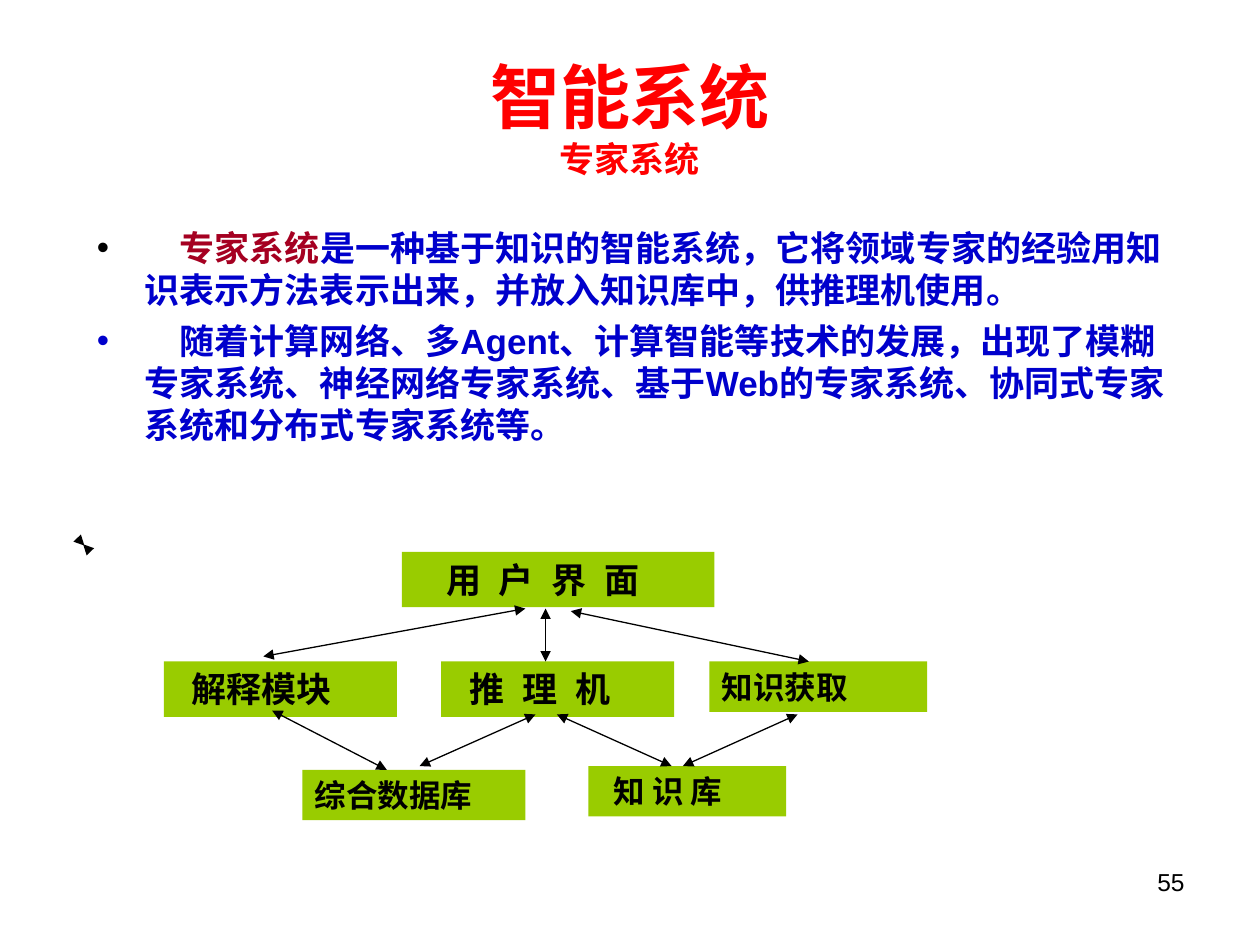
from pptx import Presentation, util as u
from pptx.dml.color import RGBColor
from pptx.enum import shapes, text
from lxml import etree

W, H = 10, 7.5
RED, WINE, BLUE, BLACK, GREEN = "FF0000", "A50021", "0000CC", "000000", "99CC00"
NS = "http://schemas.openxmlformats.org/drawingml/2006/main"

TITLE = [("智能系统", 40), ("专家系统", 20)]
BODY = [
    (BLACK, [("\u3000专家系统", WINE),
             ("是一种基于知识的智能系统，它将领域专家的经验用知识表示方法表示出来，并放入知识库中，供推理机使用。", BLUE)]),
    (BLUE, [("\u3000随着计算网络、多Agent、计算智能等技术的发展，出现了模糊专家系统、神经网络专家系统、基于Web的专家系统、协同式专家系统和分布式专家系统等。", BLUE)]),
]
TOP, MID, LOW = 4.38, 5.25, 6.08
BIG, SMALL = (20, 0.44), (18, 0.4)
BOXES = [
    ("用 户 界 面", 3.19, TOP, 2.48, BIG, 0.35, 280),
    ("解释模块", 1.3, MID, 1.85, BIG, 0.22, 0),
    ("推 理 机", 3.5, MID, 1.85, BIG, 0.23, 280),
    ("知识获取", 5.63, MID, 1.73, SMALL, 0.1, 0),
    ("知 识 库", 4.67, LOW, 1.57, SMALL, 0.2, 0),
    ("综合数据库", 2.4, LOW + 0.03, 1.77, SMALL, 0.1, 0),
]
LINKS = [
    (0.66, 4.32, 0.67, 4.33),
    (4.17, 4.83, 2.09, 5.21),
    (4.33, 4.83, 4.33, MID),
    (4.53, 4.85, 6.42, MID),
    (2.16, 5.64, 3.07, 6.11),
    (4.25, 5.67, 3.33, LOW),
    (4.42, 5.67, 5.33, LOW),
    (6.33, 5.67, 5.42, LOW),
]


def rgb(code):
    return RGBColor.from_string(code)


def style(font, size, color, bold=True, name="Arial"):
    font.size, font.bold, font.name = u.Pt(size), bold, name
    font.color.rgb = rgb(color)


def sub(node, tag, **attrs):
    return etree.SubElement(node, f"{{{NS}}}{tag}", **attrs)


def frame(slide, *area):
    tf = slide.shapes.add_textbox(*map(u.Inches, area)).text_frame
    tf.word_wrap = True
    return tf


def title(slide):
    tf = frame(slide, W * 0.05, H * 0.04, W * 0.9, 1.25)
    tf.vertical_anchor = text.MSO_ANCHOR.MIDDLE
    para = tf.paragraphs[0]
    para.alignment = text.PP_ALIGN.CENTER
    for i, (words, size) in enumerate(TITLE):
        if i:
            para.add_line_break()
        run = para.add_run()
        run.text = words
        style(run.font, size, RED, name="Times New Roman")


def body(slide):
    tf = frame(slide, 0.67, 1.75, 8.92, 5.15)
    tf.margin_right = u.Inches(0.15)
    for i, (dot, runs) in enumerate(BODY):
        para = tf.add_paragraph() if i else tf.paragraphs[0]
        para.space_before = u.Pt(5)
        for words, color in runs:
            run = para.add_run()
            run.text = words
            style(run.font, 20, color)
        props = para._p.get_or_add_pPr()
        hang = u.Inches(0.38)
        props.set("marL", str(hang))
        props.set("indent", str(-hang))
        sub(sub(props, "buClr"), "srgbClr", val=dot)
        sub(props, "buFont", typeface="Arial")
        sub(props, "buChar", char="•")


def box(slide, words, x, y, w, kind, inset, gap):
    size, h = kind
    rect = slide.shapes.add_shape(shapes.MSO_SHAPE.RECTANGLE, *map(u.Inches, (x, y, w, h)))
    rect.shadow.inherit = False
    rect.fill.solid()
    rect.fill.fore_color.rgb = rgb(GREEN)
    rect.line.fill.background()
    tf = rect.text_frame
    tf.vertical_anchor = text.MSO_ANCHOR.TOP
    tf.margin_left = u.Inches(inset)
    para = tf.paragraphs[0]
    para.alignment = text.PP_ALIGN.LEFT
    run = para.add_run()
    run.text = words
    style(para.font, size, BLACK)
    if gap:
        run._r.get_or_add_rPr().set("spc", str(gap))


def link(slide, *ends):
    line = slide.shapes.add_connector(shapes.MSO_CONNECTOR.STRAIGHT, *map(u.Inches, ends))
    line.line.color.rgb = rgb(BLACK)
    line.line.width = u.Pt(0.75)
    ln = line.line._get_or_add_ln()
    for tag in ("headEnd", "tailEnd"):
        sub(ln, tag, type="triangle")
    sub(line._element.spPr, "effectLst")


def number(slide):
    para = frame(slide, 7.17, 6.83, 2.33, 0.52).paragraphs[0]
    para.text = "55"
    para.alignment = text.PP_ALIGN.RIGHT
    style(para.font, 14, BLACK, False)


def main():
    deck = Presentation()
    deck.slide_width, deck.slide_height = u.Inches(W), u.Inches(H)
    slide = deck.slides.add_slide(deck.slide_layouts[6])
    number(slide)
    title(slide)
    body(slide)
    for item in BOXES:
        box(slide, *item)
    for ends in LINKS:
        link(slide, *ends)
    deck.save("out.pptx")


if __name__ == "__main__":
    main()
